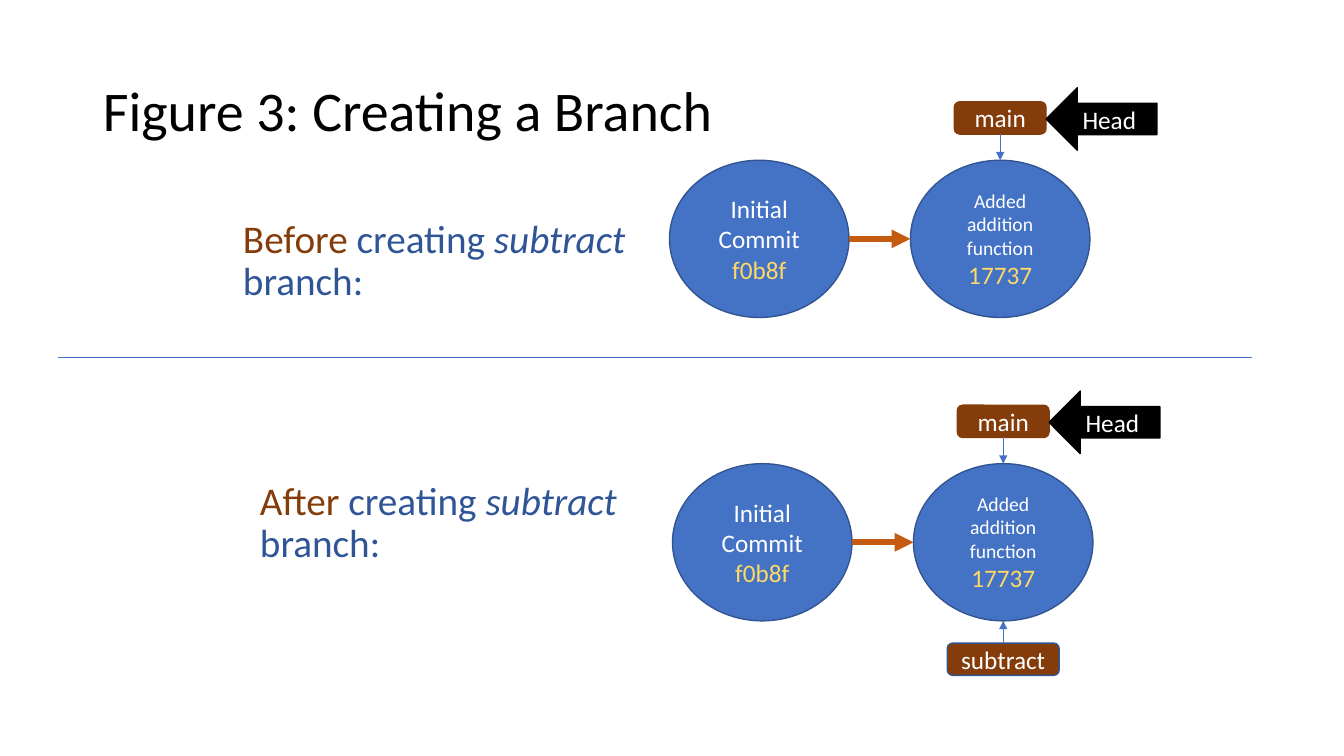
from lxml import etree
from pptx import Presentation
from pptx import util as u
from pptx.dml.color import RGBColor
from pptx.enum import shapes, text
from pptx.oxml import ns

FONT = "Calibri"
BLUE, NAVY, DARK_BLUE = "4472C4", "325491", "2F5597"
BROWN, ORANGE, YELLOW = "843C0B", "C55A11", "FFD966"
BLACK, WHITE = "000000", "FFFFFF"
KIND = shapes.MSO_SHAPE


def color(value):
    """Turn a hex string into a colour."""
    return RGBColor.from_string(value)


def add_span(para, words, size, tint, italic=False):
    """Append one formatted run to a paragraph."""
    span = para.add_run()
    span.text = words
    span.font.name = FONT
    span.font.size = u.Pt(size)
    span.font.italic = italic
    span.font.color.rgb = color(tint)


def place(shape, left, top, width, height):
    """Move and size a shape, in inches."""
    shape.left, shape.top = u.Inches(left), u.Inches(top)
    shape.width, shape.height = u.Inches(width), u.Inches(height)


def add_label(page, kind, box, fill, outline, lines):
    """Draw a filled shape with centred lines of (words, size, colour)."""
    shape = page.shapes.add_shape(kind, *map(u.Inches, box))
    shape.shadow.inherit = False
    shape.fill.solid()
    shape.fill.fore_color.rgb = color(fill)
    shape.line.color.rgb = color(outline)
    shape.line.width = u.Pt(1)
    frame = shape.text_frame
    frame.word_wrap = True
    frame.vertical_anchor = text.MSO_ANCHOR.MIDDLE
    for index, line in enumerate(lines):
        para = frame.add_paragraph() if index else frame.paragraphs[0]
        para.alignment = text.PP_ALIGN.CENTER
        add_span(para, *line)


def add_line(page, start, end, tint, width, arrow=True):
    """Draw a straight line, with an arrowhead at its end if wanted."""
    line = page.shapes.add_connector(
        shapes.MSO_CONNECTOR.STRAIGHT, *map(u.Inches, start + end))
    line.line.color.rgb = color(tint)
    line.line.width = u.Pt(width)
    if arrow:
        outline = line.line._get_or_add_ln()
        etree.SubElement(outline, ns.qn("a:tailEnd"), type="triangle")
    etree.SubElement(line._element.spPr, ns.qn("a:effectLst"))


def fill_title(shape, box):
    """Place and write the slide title."""
    place(shape, *box)
    frame = shape.text_frame
    frame.vertical_anchor = text.MSO_ANCHOR.MIDDLE
    para = frame.paragraphs[0]
    para.alignment = text.PP_ALIGN.LEFT
    para.line_spacing = 0.9
    add_span(para, "Figure 3: Creating a Branch", 40, BLACK)


def fill_caption(shape, box, moment):
    """Place and write the caption of one branch state."""
    place(shape, *box)
    frame = shape.text_frame
    frame.word_wrap = True
    frame.auto_size = text.MSO_AUTO_SIZE.NONE
    para = frame.paragraphs[0]
    para.line_spacing = 0.9
    para.space_before = u.Pt(10)
    layout = para._p.get_or_add_pPr()
    layout.set("marL", "0")
    layout.set("indent", "0")
    etree.SubElement(layout, ns.qn("a:buNone"))
    add_span(para, moment, 28, BROWN)
    add_span(para, " creating ", 28, DARK_BLUE)
    add_span(para, "subtract", 28, DARK_BLUE, True)
    add_span(para, " branch:", 28, DARK_BLUE)


def draw_commits(page, left, top, branched):
    """Draw two commits with their pointers, from a top left corner."""
    width, height, step = 1.78, 1.56, 2.39
    circle_top = top + 0.72
    second = left + step
    center = second + width / 2
    middle = circle_top + height / 2
    bottom = circle_top + height
    commits = [("Initial Commit", 18, "f0b8f"),
               ("Added addition function", 14, "17737")]
    for index, (message, size, code) in enumerate(commits):
        add_label(page, KIND.OVAL,
                  (left + index * step, circle_top, width, height), BLUE, NAVY,
                  [(message, size, WHITE), (code, 18, YELLOW)])
    add_line(page, (left + width, middle), (second, middle), ORANGE, 4.5)
    add_label(page, KIND.ROUNDED_RECTANGLE,
              (center - 0.455, top + 0.14, 0.91, 0.32),
              BROWN, BROWN, [("main", 18, WHITE)])
    add_label(page, KIND.LEFT_ARROW, (center + 0.455, top, 1.1, 0.62),
              BLACK, BLACK, [("Head", 18, WHITE)])
    add_line(page, (center, top + 0.46), (center, circle_top), BLUE, 0.5)
    if branched:
        add_label(page, KIND.ROUNDED_RECTANGLE,
                  (center - 0.555, bottom + 0.22, 1.11, 0.32),
                  BROWN, NAVY, [("subtract", 18, WHITE)])
        add_line(page, (center, bottom + 0.22), (center, bottom), BLUE, 0.5)


def main():
    """Build the slide and save it."""
    deck = Presentation()
    deck.slide_width, deck.slide_height = u.Inches(13.33), u.Inches(7.5)
    page = deck.slides.add_slide(deck.slide_layouts[1])
    fill_title(page.shapes.title, (0.92, 0.4, 11.5, 1.45))
    fill_caption(page.placeholders[1], (2.31, 2.13, 4.02, 0.99), "Before")
    draw_commits(page, 6.64, 0.87, branched=False)
    draw_commits(page, 6.67, 3.88, branched=True)
    add_line(page, (0.58, 3.55), (12.42, 3.55), BLUE, 0.5, arrow=False)
    after = page.shapes.add_textbox(0, 0, 0, 0)
    fill_caption(after, (2.48, 4.73, 4.02, 0.99), "After")
    deck.save("out.pptx")


if __name__ == "__main__":
    main()
